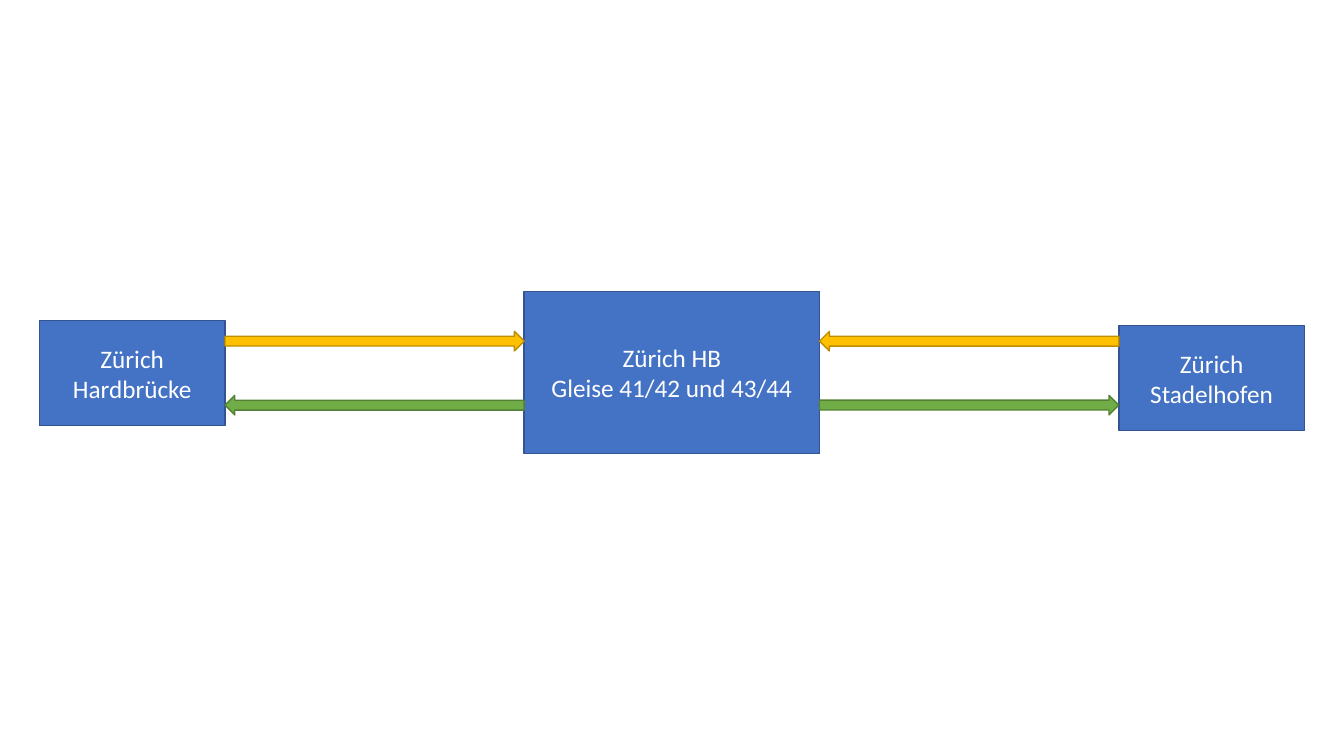
from pptx import Presentation
from pptx.dml.color import RGBColor
from pptx.enum.shapes import MSO_SHAPE
from pptx.enum.text import MSO_ANCHOR, PP_ALIGN
from pptx.util import Pt

BLUE, BLUE_EDGE = RGBColor(0x44, 0x72, 0xC4), RGBColor(0x32, 0x54, 0x91)
AMBER, AMBER_EDGE = RGBColor(0xFF, 0xC0, 0x00), RGBColor(0xBD, 0x8E, 0x00)
GREEN, GREEN_EDGE = RGBColor(0x70, 0xAD, 0x47), RGBColor(0x53, 0x80, 0x35)
WHITE = RGBColor(0xFF, 0xFF, 0xFF)

# Stations: paragraphs, left, top, width, height
MAIN_STATION = (["Zürich HB", "Gleise 41/42 und 43/44"], 374.4, 208.2, 211, 116)
WEST_STATION = (["Zürich Hardbrücke"], 28.2, 229, 132.5, 75)
EAST_STATION = (["Zürich Stadelhofen"], 799.2, 232.6, 132.5, 75)

# Tracks: top, fill, edge, rotation on the west side, rotation on the east side
TRACKS = [
    (236.7, AMBER, AMBER_EDGE, 0, 180),
    (282.4, GREEN, GREEN_EDGE, 180, 0),
]
ARROW_HEIGHT = 14

presentation = Presentation()
presentation.slide_width, presentation.slide_height = Pt(960), Pt(540)
slide = presentation.slides.add_slide(presentation.slide_layouts[6])


def add_block(kind, left, top, width, height, fill, edge):
    shape = slide.shapes.add_shape(kind, Pt(left), Pt(top), Pt(width), Pt(height))
    shape.shadow.inherit = False
    shape.fill.solid()
    shape.fill.fore_color.rgb = fill
    shape.line.color.rgb = edge
    shape.line.width = Pt(1)
    return shape


# Station boxes
for lines, *box in (MAIN_STATION, WEST_STATION, EAST_STATION):
    station = add_block(MSO_SHAPE.RECTANGLE, *box, BLUE, BLUE_EDGE)
    frame = station.text_frame
    frame.word_wrap = True
    frame.vertical_anchor = MSO_ANCHOR.MIDDLE
    frame.text = "\n".join(lines)
    for paragraph in frame.paragraphs:
        paragraph.alignment = PP_ALIGN.CENTER
        paragraph.font.name = "Calibri"
        paragraph.font.size = Pt(18)
        paragraph.font.color.rgb = WHITE

# Arrows fill the gaps between neighbouring stations
for side, (start, end) in enumerate([(WEST_STATION, MAIN_STATION), (MAIN_STATION, EAST_STATION)]):
    left = start[1] + start[3]
    width = end[1] - left
    for top, fill, edge, *rotations in TRACKS:
        arrow = add_block(MSO_SHAPE.RIGHT_ARROW, left, top, width, ARROW_HEIGHT, fill, edge)
        arrow.rotation = rotations[side]

presentation.save("out.pptx")
